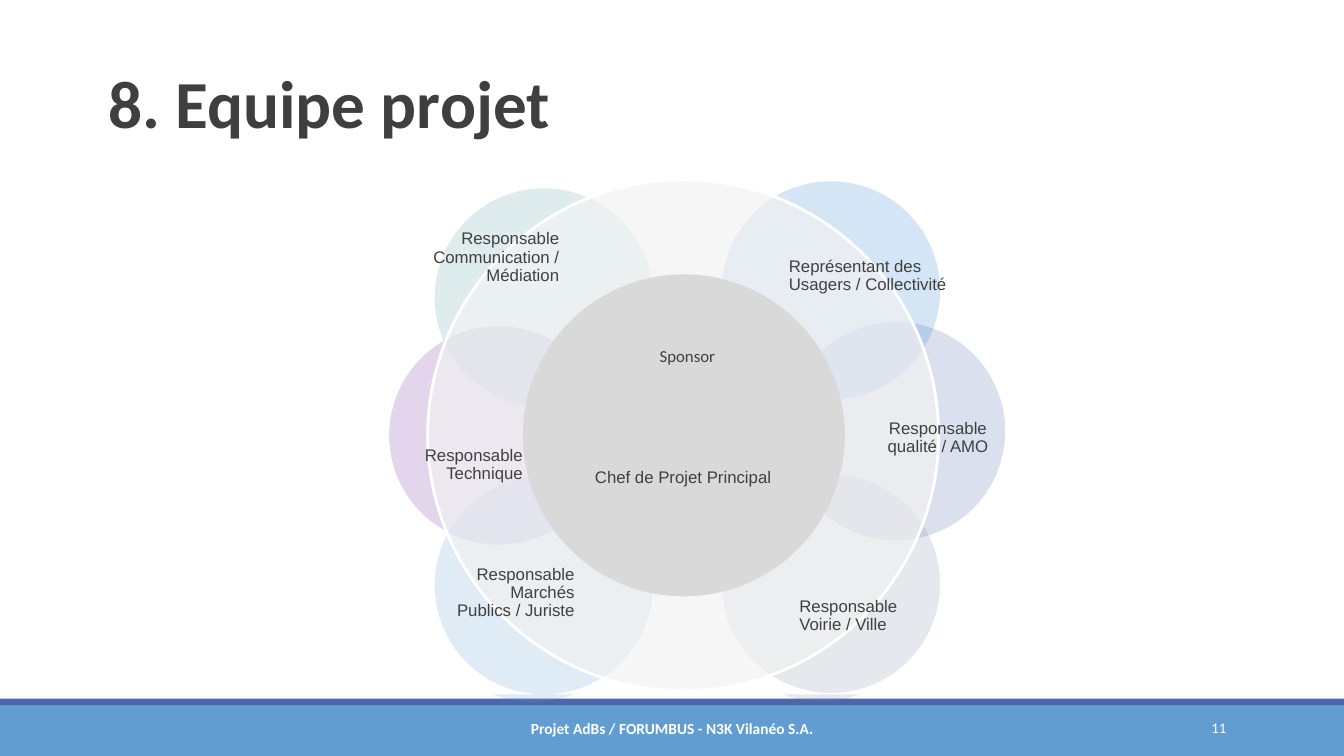
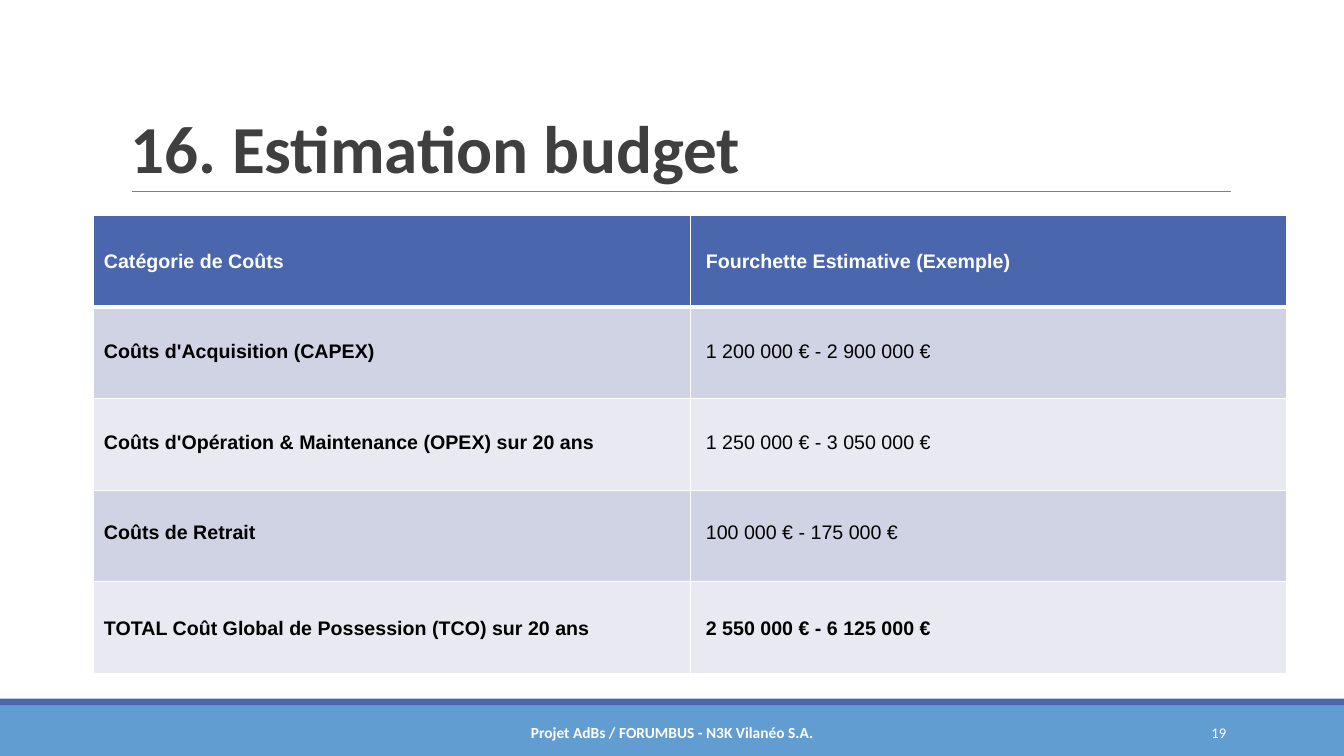
from lxml import etree
from pptx import Presentation
from pptx.dml.color import RGBColor
from pptx.enum import shapes, text
from pptx.oxml import ns
from pptx.util import Pt

DARK, GREY, WHITE, BLACK = "3F3F3F", "404040", "FFFFFF", "000000"
BLUE, NAVY, SLATE, PALE = "629DD1", "4A66AC", "7F8FA9", "F2F2F2"
LEFT, MID, RIGHT = text.PP_ALIGN.LEFT, text.PP_ALIGN.CENTER, text.PP_ALIGN.RIGHT
SHAPE = shapes.MSO_SHAPE
FOOT = "Projet AdBs / FORUMBUS - N3K Vilanéo S.A."


def write(frame, words, size=12, font="Arial", color=GREY, bold=False,
          align=LEFT, gap=0.9, anchor=text.MSO_ANCHOR.MIDDLE, inset=None):
    frame.word_wrap = True
    frame.vertical_anchor = anchor
    if inset is not None:
        frame.margin_left = frame.margin_right = Pt(inset)
        frame.margin_top = frame.margin_bottom = Pt(inset)
    par = frame.paragraphs[0]
    par.alignment, par.line_spacing = align, gap
    run = par.add_run()
    run.text = words
    run.font.size, run.font.name, run.font.bold = Pt(size), font, bold
    run.font.color.rgb = RGBColor.from_string(color)


def draw(slide, kind, box, color, alpha=100, edge=None):
    """Add a filled shape; alpha is its opacity in percent."""
    shape = slide.shapes.add_shape(kind, *map(Pt, box))
    shape.shadow.inherit = False
    shape.fill.solid()
    shape.fill.fore_color.rgb = RGBColor.from_string(color)
    if alpha < 100:
        tint = shape.fill._xPr.find(".//" + ns.qn("a:srgbClr"))
        etree.SubElement(tint, ns.qn("a:alpha"), val=str(alpha * 1000))
    if edge:
        shape.line.color.rgb = RGBColor.from_string(edge)
        shape.line.width = Pt(2)
    else:
        shape.line.fill.background()


deck = Presentation()
deck.slide_width, deck.slide_height = Pt(960), Pt(540)

# Title, bands and footer of every slide
pages = []
for title, left, base, number, low in [
    ("8. Equipe projet", 70.5, 105, "11", 505.5),
    ("16. Estimation budget", 86.5, 137, "19", 508.5),
]:
    page = deck.slides.add_slide(deck.slide_layouts[6])
    pages.append(page)
    draw(page, SHAPE.RECTANGLE, (0, 504, 960, 36), BLUE)
    draw(page, SHAPE.RECTANGLE, (0, 499, 960, 5), NAVY)
    head = page.shapes.add_textbox(Pt(left), Pt(base - 96), Pt(792), Pt(96))
    write(head.text_frame, title, size=48, font="Calibri", color=DARK,
          bold=True, gap=0.85, anchor=text.MSO_ANCHOR.BOTTOM)
    foot = page.shapes.add_textbox(Pt(290.5), Pt(low), Pt(379.5), Pt(29))
    write(foot.text_frame, FOOT, size=11, font="Calibri", color=WHITE,
          bold=True, align=MID, gap=1)
    num = page.shapes.add_textbox(Pt(780), Pt(low), Pt(103), Pt(29))
    write(num.text_frame, number, size=10.5, font="Calibri", color=WHITE,
          align=RIGHT, gap=1)

team, budget = pages

# Team: lower petals whose rims show under the white panel
for left, top, color in [(508.5, 345, SLATE), (303, 345.5, BLUE)]:
    draw(team, SHAPE.OVAL, (left, top, 156, 156), color, alpha=20)
draw(team, SHAPE.RECTANGLE, (11, 127.5, 939.5, 368.5), WHITE)

# Six petals behind a ring and a core
for left, top, color in [
    (278, 233, "7030A0"),
    (562, 230, NAVY),
    (515.5, 339, SLATE),
    (515.5, 129.5, "297FD5"),
    (310.5, 340, BLUE),
    (310.5, 134.5, "5AA2AE"),
]:
    draw(team, SHAPE.OVAL, (left, top, 156, 156), color, alpha=20)
draw(team, SHAPE.OVAL, (305.5, 128.5, 365, 365), PALE, alpha=68, edge=WHITE)
draw(team, SHAPE.OVAL, (373.5, 196, 230, 230), "D9D9D9")

# Each role: left, middle height, width
for words, left, mid, width, align, font in [
    ("Sponsor", 421.5, 255, 139, MID, "Calibri"),
    ("Chef de Projet Principal", 418.5, 341.5, 139, MID, "Arial"),
    ("Responsable Communication / Médiation", 297, 184, 102.5, RIGHT, "Arial"),
    ("Responsable Technique", 278, 332, 95.5, RIGHT, "Arial"),
    ("Responsable Marchés Publics / Juriste", 325, 423.5, 85.5, RIGHT, "Arial"),
    ("Représentant des Usagers / Collectivité", 563.5, 197, 125, LEFT, "Arial"),
    ("Responsable qualité / AMO", 627.5, 313, 85, MID, "Arial"),
    ("Responsable Voirie / Ville", 571, 440, 85, LEFT, "Arial"),
]:
    role = team.shapes.add_textbox(Pt(left), Pt(mid - 23), Pt(width), Pt(46))
    write(role.text_frame, words, font=font, align=align, inset=0)

# Budget: rule, shaded grid and the costs laid over it
rule = budget.shapes.add_connector(shapes.MSO_CONNECTOR.STRAIGHT,
                                   Pt(94.5), Pt(137), Pt(879), Pt(137))
rule.line.color.rgb = RGBColor.from_string("7F7F7F")
rule.line.width = Pt(0.75)
etree.SubElement(rule._element.spPr, ns.qn("a:effectLst"))

costs = [
    ("Catégorie de Coûts", "Fourchette Estimative (Exemple)"),
    ("Coûts d'Acquisition (CAPEX)", "1 200 000 € - 2 900 000 €"),
    ("Coûts d'Opération & Maintenance (OPEX) sur 20 ans",
     "1 250 000 € - 3 050 000 €"),
    ("Coûts de Retrait", "100 000 € - 175 000 €"),
    ("TOTAL Coût Global de Possession (TCO) sur 20 ans",
     "2 550 000 € - 6 125 000 €"),
]
last = len(costs) - 1
for shaded, top, cols, rows in [
    (True, 154, (426, 426), (65.4,) * len(costs)),
    (False, 156, (430, 422), (62, 67, 62.5, 65.5, 72.5)),
]:
    grid = budget.shapes.add_table(len(rows), len(cols), Pt(67), Pt(top),
                                   Pt(sum(cols)), Pt(sum(rows))).table
    for col, width in zip(grid.columns, cols):
        col.width = Pt(width)
    for r, height in enumerate(rows):
        grid.rows[r].height = Pt(height)
        for c, words in enumerate(costs[r]):
            cell = grid.cell(r, c)
            props = cell._tc.get_or_add_tcPr()
            for side in ("L", "R", "T", "B"):
                thick = (r, side) in ((0, "B"), (1, "T"))
                line = etree.SubElement(props, ns.qn("a:ln" + side),
                                        w=str(Pt(3 if thick else 1)))
                if shaded:
                    fill = etree.SubElement(line, ns.qn("a:solidFill"))
                    etree.SubElement(fill, ns.qn("a:srgbClr"), val=WHITE)
                else:
                    etree.SubElement(line, ns.qn("a:noFill"))
            if shaded:
                shade = NAVY if r == 0 else "D0D3E3" if r % 2 else "E9EAF1"
                cell.fill.solid()
                cell.fill.fore_color.rgb = RGBColor.from_string(shade)
            else:
                cell.fill.background()
                cell.vertical_anchor = text.MSO_ANCHOR.MIDDLE
                write(cell.text_frame, words, size=14, gap=1,
                      color=BLACK if r else WHITE,
                      bold=c == 0 or r in (0, last))

deck.save("out.pptx")
